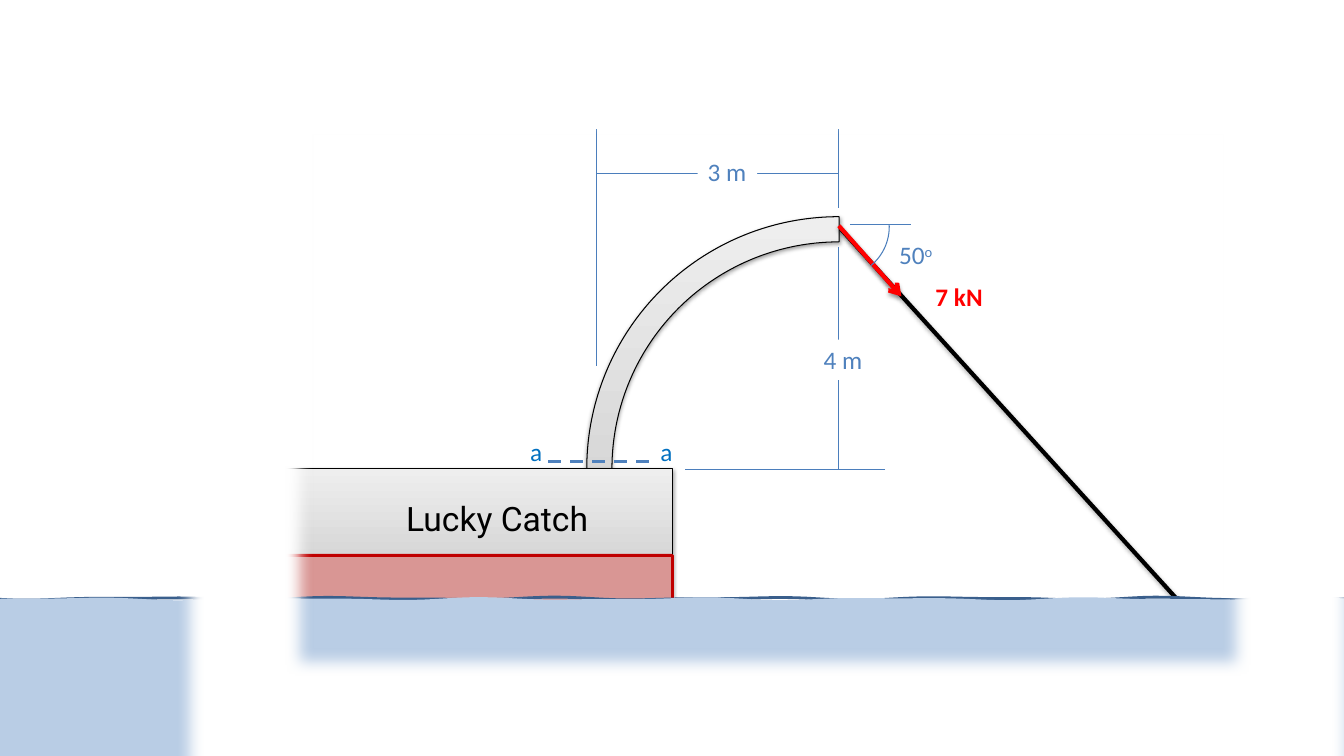
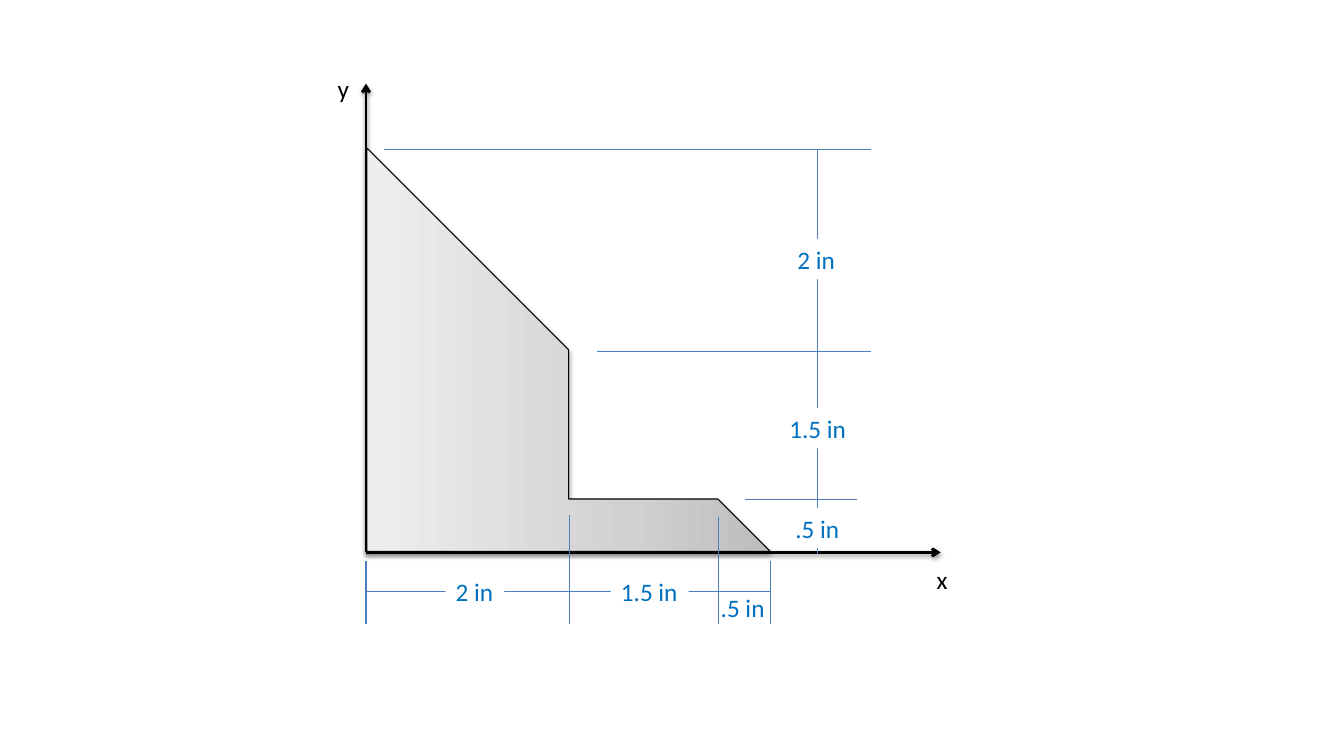
from copy import deepcopy
from math import sin

from lxml import etree
from pptx import Presentation
from pptx.dml.color import RGBColor
from pptx.enum.dml import MSO_LINE
from pptx.enum.shapes import MSO_CONNECTOR, MSO_SHAPE
from pptx.enum.text import MSO_ANCHOR, MSO_AUTO_SIZE as AUTO_SIZE, PP_ALIGN
from pptx.oxml.ns import qn
from pptx.util import Inches, Pt

WIDTH, HEIGHT = 13.33, 7.5
BLACK, WHITE, RED = "000000", "FFFFFF", "FF0000"
DIMENSION_LINE, DIMENSION_TEXT, LABEL_TEXT = "4B7EBC", "4F81BD", "0070C0"
STEEL = [(0, "BDBDBD"), (0.35, "D1D1D1"), (1, "EEEEEE")]
SHAPE_SHADOW = {"alpha": 38000, "distance": 20000}
LINE_SHADOW = {"alpha": 35000, "distance": 23000}


def rgb(value):
    return RGBColor.from_string(value)


def set_effects(shape, shadow=None, soft_edge=None):
    """Replace the theme's effects, by default with none."""
    properties = shape._element.spPr
    for old in properties.findall(qn("a:effectLst")):
        properties.remove(old)
    effects = etree.SubElement(properties, qn("a:effectLst"))
    if shadow:
        outer = etree.SubElement(effects, qn("a:outerShdw"), blurRad="40000",
                                 dist=str(shadow["distance"]), dir="5400000",
                                 rotWithShape="0")
        color = etree.SubElement(outer, qn("a:srgbClr"), val=BLACK)
        etree.SubElement(color, qn("a:alpha"), val=str(shadow["alpha"]))
    if soft_edge:
        etree.SubElement(effects, qn("a:softEdge"), rad=str(int(Pt(soft_edge))))


def set_paint(shape, fill=None, line=None, weight=0.75, shadow=None, soft_edge=None):
    if fill is STEEL:
        fill_steel(shape)
    elif fill:
        shape.fill.solid()
        shape.fill.fore_color.rgb = rgb(fill)
    else:
        shape.fill.background()
    if line:
        shape.line.color.rgb = rgb(line)
        shape.line.width = Pt(weight)
    else:
        shape.line.fill.background()
    set_effects(shape, shadow, soft_edge)


def fill_steel(shape):
    """Shade from dark at the foot to light at the top."""
    shape.fill.gradient()
    shape.fill.gradient_angle = 90
    first = shape._element.spPr.find(".//" + qn("a:gs"))
    first.addnext(deepcopy(first))
    for stop, (position, color) in zip(shape.fill.gradient_stops, STEEL):
        stop.position = position
        stop.color.rgb = rgb(color)


def add_shape(slide, kind, left, top, width, height, adjustments=(), **paint):
    shape = slide.shapes.add_shape(kind, Inches(left), Inches(top),
                                   Inches(width), Inches(height))
    for index, value in enumerate(adjustments):
        shape.adjustments[index] = value
    set_paint(shape, **paint)
    return shape


def add_line(slide, start, end, color=DIMENSION_LINE, weight=0.75,
             arrow=False, dash=None, shadow=None):
    line = slide.shapes.add_connector(MSO_CONNECTOR.STRAIGHT,
                                      *(Inches(value) for value in (*start, *end)))
    line.line.color.rgb = rgb(color)
    line.line.width = Pt(weight)
    if dash:
        line.line.dash_style = dash
    if arrow:
        outline = line._element.spPr.find(qn("a:ln"))
        etree.SubElement(outline, qn("a:tailEnd"), type="arrow")
    set_effects(line, shadow)


def add_label(slide, left, top, width, text, color=LABEL_TEXT, height=0.4,
              fill=None, bold=False, superscript=""):
    box = slide.shapes.add_textbox(Inches(left), Inches(top),
                                   Inches(width), Inches(height))
    if fill:
        box.fill.solid()
        box.fill.fore_color.rgb = rgb(fill)
    frame = box.text_frame
    frame.word_wrap = bool(superscript)
    frame.auto_size = AUTO_SIZE.SHAPE_TO_FIT_TEXT
    paragraph = frame.paragraphs[0]
    paragraph.add_run().text = text
    if superscript:
        run = paragraph.add_run()
        run.text = superscript
        run._r.get_or_add_rPr().set("baseline", "30000")
    font = paragraph.font
    font.name, font.size, font.bold = "Calibri", Pt(18), bold
    font.color.rgb = rgb(color)


def draw_boat(slide, left, top, width, height):
    cabin = add_shape(slide, MSO_SHAPE.RECTANGLE, left, top, width, height,
                      fill=STEEL, line=BLACK, shadow=SHAPE_SHADOW)
    frame = cabin.text_frame
    frame.vertical_anchor = MSO_ANCHOR.MIDDLE
    frame.margin_left, frame.margin_bottom = Inches(1.19), Inches(0.74)
    paragraph = frame.paragraphs[0]
    paragraph.text = "Lucky Catch"
    paragraph.alignment = PP_ALIGN.CENTER
    paragraph.font.name, paragraph.font.size = "Roboto", Pt(24)
    paragraph.font.color.rgb = rgb(BLACK)
    hull_height = 0.81
    add_shape(slide, MSO_SHAPE.ROUND_2_DIAG_RECTANGLE, left,
              top + height - hull_height, width, hull_height,
              fill="D99694", line="C00000", weight=2)


def draw_sea(slide, top):
    """Lay the body of water over a wavy outline that shows in places."""
    layers = [(0.3, {"line": "3A5F8C", "weight": 2}), (2.4, {"fill": "B9CDE5"})]
    steps = 120
    for phase, paint in layers:
        surface = []
        for step in range(steps + 1):
            x = WIDTH * step / steps
            wave = sin(3.1 * x + phase) + 0.6 * sin(5.3 * x + 2 * phase)
            surface.append((Inches(x), Inches(top + 0.01 * wave)))
        builder = slide.shapes.build_freeform(*surface[0])
        floor = [(Inches(WIDTH), Inches(HEIGHT)), (0, Inches(HEIGHT))]
        builder.add_line_segments(surface[1:] + floor, close=True)
        set_paint(builder.convert_to_shape(), **paint)


def draw_section_mark(slide, left, y):
    right = left + 1.01
    add_line(slide, (left, y), (right, y), DIMENSION_TEXT, 2.25, dash=MSO_LINE.DASH)
    for x in (left - 0.28, right):
        add_label(slide, x, y - 0.3, 0.28, "a", height=0.33)


def draw_davit_dimensions(slide, x, tip, deck):
    """Show reach and height, given the tip's x, its y and the deck's y."""
    foot = x - 2.4
    reach_y = tip - 0.53
    for start, end in [((foot, 1.28), (foot, 3.63)),
                       ((x, 1.28), (x, 2.06)),
                       ((foot, reach_y), (x, reach_y)),
                       ((x + 0.46, deck), (x - 1.53, deck)),
                       ((x, tip + 0.2), (x, deck))]:
        add_line(slide, start, end)
    for left, top, text in [(foot + 1, reach_y - 0.22, "3 m"),
                            (x - 0.25, tip + 1.12, "4 m")]:
        add_label(slide, left, top, 0.59, text, DIMENSION_TEXT, fill=WHITE)


def draw_force(slide, x, y):
    """Show the pull on the cable and its angle at the davit's tip."""
    add_line(slide, (x, y), (x + 0.62, y + 0.7), RED, 3, arrow=True, shadow=LINE_SHADOW)
    add_label(slide, x + 0.86, y + 0.5, 0.68, "7 kN", RED, bold=True)
    add_line(slide, (x + 0.11, y - 0.01), (x + 0.72, y - 0.01))
    add_shape(slide, MSO_SHAPE.ARC, x - 0.5, y - 0.49, 1, 1, (214.17, 30.12),
              line=DIMENSION_LINE)
    add_label(slide, x + 0.5, y + 0.09, 0.56, "50", DIMENSION_TEXT, superscript="o")


def build_davit_slide(slide):
    tip_x, tip_y, deck, waterline, radius = 8.32, 2.25, 4.65, 5.94, 2.5
    add_line(slide, (tip_x, tip_y), (11.67, waterline), BLACK, 3, shadow=LINE_SHADOW)
    add_shape(slide, MSO_SHAPE.BLOCK_ARC, tip_x - radius, deck - radius,
              2 * radius, 2 * radius, (108, 162.04, 0.05), fill=STEEL,
              line=BLACK, shadow=SHAPE_SHADOW)
    draw_boat(slide, 2.1, deck, 4.57, 1.67)
    draw_sea(slide, waterline)
    draw_section_mark(slide, 5.44, deck - 0.07)
    draw_davit_dimensions(slide, tip_x, tip_y, deck + 0.01)
    draw_force(slide, tip_x, tip_y - 0.01)
    add_shape(slide, MSO_SHAPE.FRAME, 1.77, 0, 11.7, 7.76, (0.17,),
              fill=WHITE, line=WHITE, weight=2, soft_edge=10)


def draw_axes(slide, x, y):
    for end in [(x, y - 4.65), (x + 5.7, y)]:
        add_line(slide, (x, y), end, BLACK, 2, arrow=True, shadow=SHAPE_SHADOW)
    add_label(slide, x + 5.56, y + 0.07, 0.31, "x", BLACK)
    add_label(slide, x - 0.38, y - 4.8, 0.32, "y", BLACK)


def draw_width_dimensions(slide, x, y):
    add_line(slide, (x, y + 0.39), (x + 4.01, y + 0.39))
    for offset, start in [(0, 0.09), (2.02, -0.37), (3.5, -0.35), (4.01, 0.09)]:
        add_line(slide, (x + offset, y + 0.71), (x + offset, y + start))
    for offset, width, text in [(0.79, 0.58, "2 in"), (2.43, 0.77, "1.5 in")]:
        add_label(slide, x + offset, y + 0.19, width, text, fill=WHITE)


def draw_height_dimensions(slide, x, y):
    """Stack the heights along a line at x that stands on y."""
    add_line(slide, (x, y + 0.02), (x, y - 4))
    for rise, before, after in [(4, 4.3, 0.53), (1.99, 2.19, 0.53), (0.52, 0.72, 0.39)]:
        add_line(slide, (x + after, y - rise), (x - before, y - rise))
    for left, rise, width, text in [(-0.3, 3.11, 0.58, "2 in"),
                                    (-0.38, 1.43, 0.77, "1.5 in"),
                                    (-0.32, 0.44, 0.64, ".5 in")]:
        add_label(slide, x + left, y - rise, width, text, fill=WHITE)


def build_section_slide(slide):
    x, y, size = 3.63, 5.48, 4
    add_label(slide, x + 3.42, y + 0.35, 0.64, ".5 in", fill=WHITE)
    draw_axes(slide, x, y)
    plate = add_shape(slide, MSO_SHAPE.HALF_FRAME, x + 0.01, y - size - 0.01,
                      size, size, (0.5, 0.13), fill=STEEL, line=BLACK,
                      shadow=SHAPE_SHADOW)
    plate.rotation = 270
    draw_width_dimensions(slide, x, y)
    draw_height_dimensions(slide, x + 4.48, y)


def main():
    presentation = Presentation()
    presentation.slide_width = Inches(WIDTH)
    presentation.slide_height = Inches(HEIGHT)
    blank = presentation.slide_layouts[6]
    for build in (build_davit_slide, build_section_slide):
        build(presentation.slides.add_slide(blank))
    presentation.save("out.pptx")


if __name__ == "__main__":
    main()
